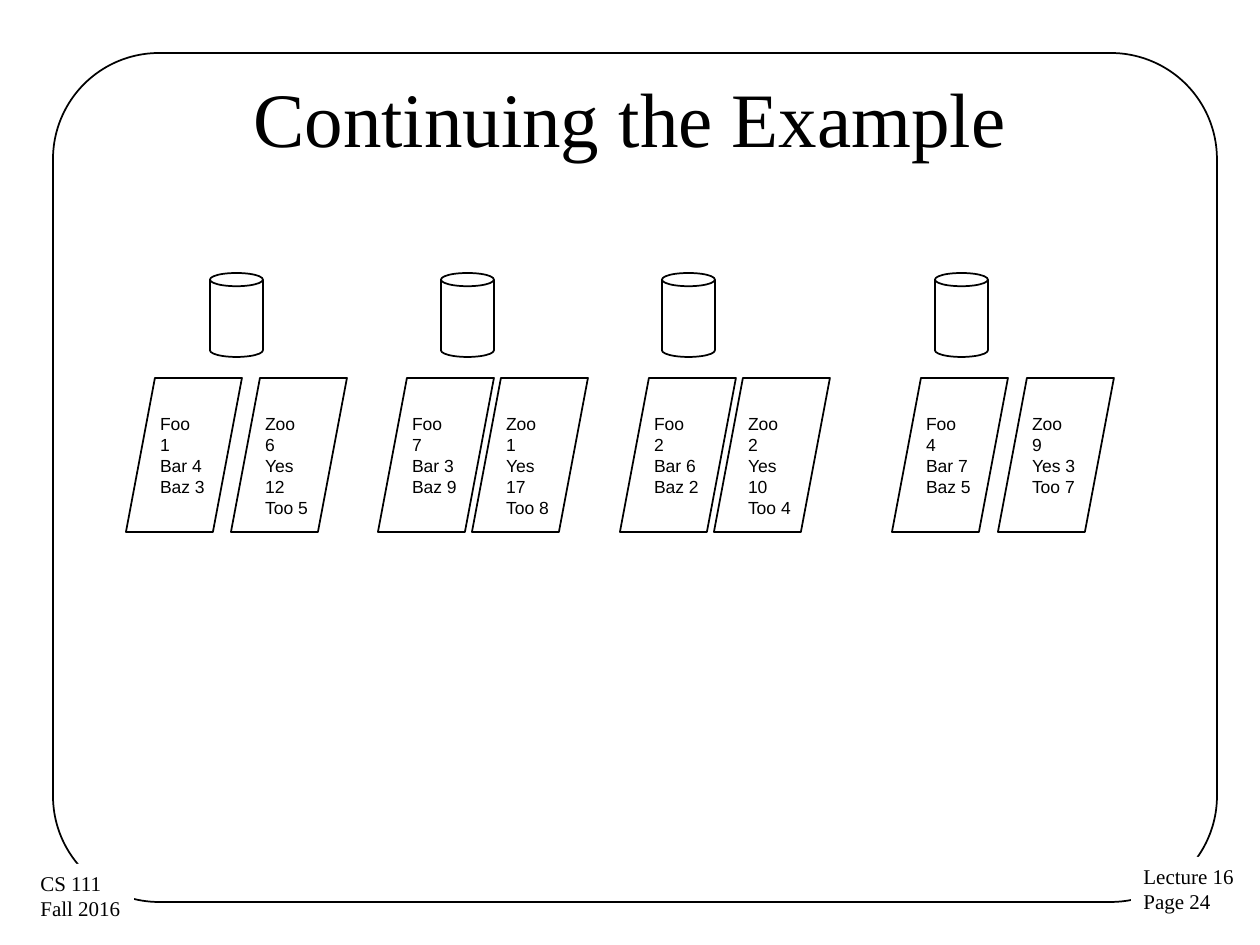
"""Build the "Continuing the Example" slide of disks and their reduced word counts."""
from dataclasses import dataclass

from pptx import Presentation
from pptx.dml.color import RGBColor
from pptx.enum.shapes import MSO_SHAPE
from pptx.enum.text import MSO_ANCHOR, MSO_AUTO_SIZE, PP_ALIGN
from pptx.util import Emu, Pt

ROUND, RECT = MSO_SHAPE.ROUNDED_RECTANGLE, MSO_SHAPE.RECTANGLE
CAN, SHEET = MSO_SHAPE.CAN, MSO_SHAPE.PARALLELOGRAM
TOP, MIDDLE = MSO_ANCHOR.TOP, MSO_ANCHOR.MIDDLE
LEFT, CENTER = PP_ALIGN.LEFT, PP_ALIGN.CENTER
GROW = MSO_AUTO_SIZE.SHAPE_TO_FIT_TEXT
PX = 914400 / 126


@dataclass(frozen=True)
class Theme:
    """Colours, fonts and type sizes."""
    ink: RGBColor = RGBColor(0, 0, 0)
    paper: RGBColor = RGBColor(255, 255, 255)
    serif: str = "Times New Roman"
    sans: str = "Arial"
    title: int = 44
    footer: int = 12
    body: int = 10
    line: int = 1


@dataclass(frozen=True)
class Box:
    """A rectangle in px."""
    x: int
    y: int
    w: int
    h: int


@dataclass(frozen=True)
class Disk:
    """A disk with the left edges and lines of its two sheets."""
    x: int
    sheets: tuple[tuple[int, tuple[str, ...]], ...]


@dataclass(frozen=True)
class Footer:
    """A corner label that covers the frame."""
    box: Box
    lines: tuple[str, ...]


THEME = Theme()
FRAME = Box(53, 53, 1164, 849)
TITLE = Box(63, 38, 1134, 158)
FOOTERS = (
    Footer(Box(1131, 857, 117, 64), ("Lecture 16", "Page 24")),
    Footer(Box(28, 864, 106, 64), ("CS 111", "Fall 2016")),
)
DISKS = (
    Disk(210, ((126, ("Foo\v1", "Bar 4", "Baz 3")), (231, ("Zoo\v6", "Yes 12", "Too 5")))),
    Disk(441, ((378, ("Foo\v7", "Bar 3", "Baz 9")), (472, ("Zoo\v1", "Yes 17", "Too 8")))),
    Disk(662, ((620, ("Foo\v2", "Bar 6", "Baz 2")), (714, ("Zoo\v2", "Yes 10", "Too 4")))),
    Disk(935, ((892, ("Foo\v4", "Bar 7", "Baz 5")), (998, ("Zoo\v9", "Yes 3", "Too 7")))),
)


def px(n: int) -> Emu:
    """Convert px to EMU."""
    return Emu(round(n * PX))


def place(box: Box) -> tuple[Emu, ...]:
    """Return left, top, width and height in EMU."""
    return tuple(px(n) for n in (box.x, box.y, box.w, box.h))


def set_all(obj, values: dict) -> None:
    """Set attributes from a dict."""
    for name, value in values.items():
        setattr(obj, name, value)


def add_outline(slide, kind, box: Box):
    """Add an unfilled shape with a thin line."""
    sp = slide.shapes.add_shape(kind, *place(box))
    sp.shadow.inherit = False
    sp.fill.background()
    sp.line.color.rgb = THEME.ink
    sp.line.width = Pt(THEME.line)
    return sp


def write(sp, lines: tuple[str, ...], font: str, size: int, align=LEFT, **frame) -> None:
    """Write one paragraph per line."""
    tf = sp.text_frame
    set_all(tf, {"word_wrap": True, "vertical_anchor": TOP} | frame)
    for i, line in enumerate(lines):
        p = tf.add_paragraph() if i else tf.paragraphs[0]
        p.text = line
        p.alignment = align
        for r in p.runs:
            set_all(r.font, {"name": font, "size": Pt(size)})
            r.font.color.rgb = THEME.ink


def add_footer(slide, footer: Footer) -> None:
    """Add a filled corner label."""
    sp = slide.shapes.add_shape(RECT, *place(footer.box))
    sp.shadow.inherit = False
    sp.fill.solid()
    sp.fill.fore_color.rgb = THEME.paper
    sp.line.fill.background()
    write(sp, footer.lines, THEME.serif, THEME.footer, word_wrap=False, auto_size=GROW)


def add_disk(slide, disk: Disk) -> None:
    """Add a disk and its sheets."""
    add_outline(slide, CAN, Box(disk.x, 273, 53, 84))
    for x, lines in disk.sheets:
        sp = add_outline(slide, SHEET, Box(x, 378, 116, 154))
        write(sp, lines, THEME.sans, THEME.body)


def main() -> None:
    """Build and save the slide."""
    prs = Presentation()
    set_all(prs, {"slide_width": px(1260), "slide_height": px(945)})
    slide = prs.slides.add_slide(prs.slide_layouts[6])
    add_outline(slide, ROUND, FRAME).adjustments[0] = 0.125
    for footer in FOOTERS:
        add_footer(slide, footer)
    title = slide.shapes.add_textbox(*place(TITLE))
    write(title, ("Continuing the Example",), THEME.serif, THEME.title, CENTER,
          vertical_anchor=MIDDLE)
    for disk in DISKS:
        add_disk(slide, disk)
    prs.save("out.pptx")


if __name__ == "__main__":
    main()
